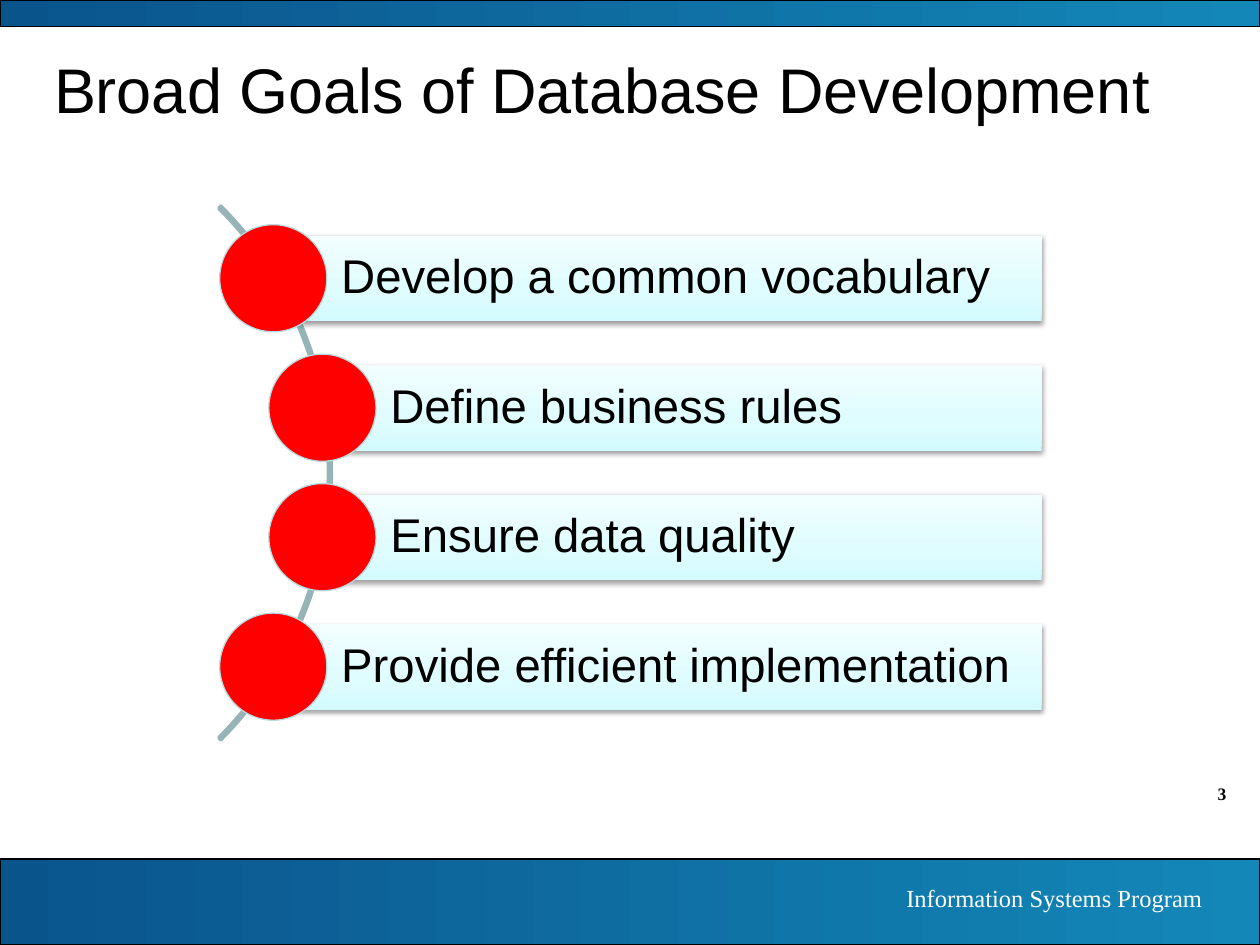
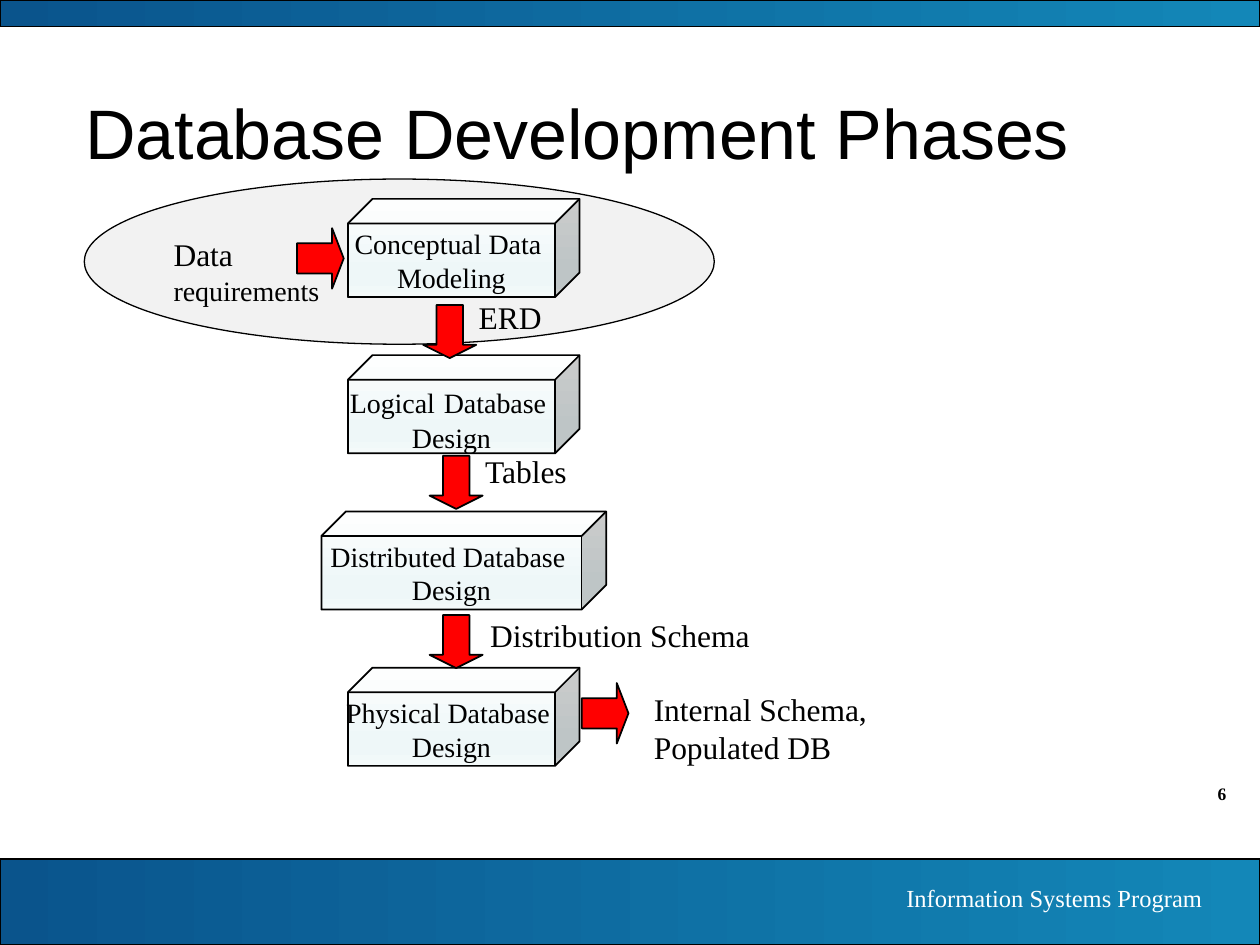
from lxml.etree import SubElement
from pptx import Presentation
from pptx.dml.color import RGBColor
from pptx.enum.shapes import MSO_SHAPE
from pptx.enum.text import MSO_ANCHOR, MSO_AUTO_SIZE, PP_ALIGN
from pptx.oxml.ns import qn
from pptx.util import Cm, Pt

WIDTH, HEIGHT = 25.4, 19.05
BLACK, WHITE, RED = "000000", "FFFFFF", "FF0000"
SANS, SERIF = "Arial", "Times New Roman"
BAND = [(0, "0A548C"), (100, "1387B8")]
BAR = [(0, "D3FBFF"), (35, "DFFCFF"), (100, "F2FEFF")]
CUBE = [(0, "FDFEFE"), (74, "EEF7F8"), (83, "EEF7F8"), (100, "F4FAFA")]


def rgb(value):
    return RGBColor.from_string(value)


class Deck:
    def __init__(self):
        self.prs = Presentation()
        self.prs.slide_width, self.prs.slide_height = Cm(WIDTH), Cm(HEIGHT)
        self.s = None

    def slide(self, title, number, box, size):
        self.s = self.prs.slides.add_slide(self.prs.slide_layouts[6])
        self.text((22.86, 15.67, 2.11, 0.69), [number], 10, align=PP_ALIGN.RIGHT, bold=True)
        for top, height in ((17.32, 1.73), (0, 0.53)):
            band = self.shape(MSO_SHAPE.RECTANGLE, (0, top, WIDTH, height), line=BLACK)
            self.gradient(band, BAND, 0)
        self.text((14.1, 17.68, 10.39, 0.86), ["Information Systems Program"], 14,
                  color=WHITE, align=PP_ALIGN.RIGHT)
        tf = self.text(box, [title], size, font=SANS)
        tf.auto_size = MSO_AUTO_SIZE.NONE
        tf.vertical_anchor = MSO_ANCHOR.MIDDLE

    def fill_text(self, tf, lines, size, font=SERIF, color=BLACK, align=PP_ALIGN.LEFT,
                  bold=False):
        for i, line in enumerate(lines):
            p = tf.add_paragraph() if i else tf.paragraphs[0]
            p.alignment = align
            runs = [(line, size)] if isinstance(line, str) else line
            for content, run_size in runs:
                r = p.add_run()
                r.text = content
                r.font.name, r.font.size, r.font.bold = font, Pt(run_size), bold
                r.font.color.rgb = rgb(color)

    def text(self, box, lines, size, **style):
        tf = self.s.shapes.add_textbox(*map(Cm, box)).text_frame
        tf.word_wrap = True
        tf.auto_size = MSO_AUTO_SIZE.SHAPE_TO_FIT_TEXT
        self.fill_text(tf, lines, size, **style)
        return tf

    def shape(self, kind, box, fill=None, line=None, width=0.75):
        sp = self.s.shapes.add_shape(kind, *map(Cm, box))
        sp.shadow.inherit = False
        if fill:
            sp.fill.solid()
            sp.fill.fore_color.rgb = rgb(fill)
        else:
            sp.fill.background()
        if line:
            sp.line.color.rgb = rgb(line)
            sp.line.width = Pt(width)
        else:
            sp.line.fill.background()
        return sp

    def gradient(self, sp, stops, angle):
        sp.fill.gradient()
        sp.fill.gradient_angle = angle
        stop_list = sp.element.spPr.find(qn("a:gradFill")).find(qn("a:gsLst"))
        for stop in list(stop_list):
            stop_list.remove(stop)
        for position, color in stops:
            stop = SubElement(stop_list, qn("a:gs"), pos=str(position * 1000))
            SubElement(stop, qn("a:srgbClr"), val=color)

    def drop_shadow(self, sp):
        effects = sp.element.spPr.find(qn("a:effectLst"))
        shadow = SubElement(effects, qn("a:outerShdw"), blurRad=str(Pt(3.1)),
                            dist=str(Pt(1.6)), dir="5400000", rotWithShape="0")
        color = SubElement(shadow, qn("a:srgbClr"), val=BLACK)
        SubElement(color, qn("a:alpha"), val="38000")

    def arc(self, box, start, end, thickness, color):
        sp = self.shape(MSO_SHAPE.BLOCK_ARC, box, line=color, width=2)
        sp.adjustments[0] = start * 0.6
        sp.adjustments[1] = end * 0.6
        sp.adjustments[2] = thickness / box[2]

    def goal(self, left, top, label):
        bar = self.shape(MSO_SHAPE.RECTANGLE, (left, top, 21 - left, 1.73))
        self.gradient(bar, BAR, 90)
        self.drop_shadow(bar)
        tf = bar.text_frame
        tf.word_wrap = True
        tf.vertical_anchor = MSO_ANCHOR.MIDDLE
        tf.margin_left = Cm(1.37)
        tf.margin_top = tf.margin_right = tf.margin_bottom = Cm(0.18)
        self.fill_text(tf, [label], 27, font=SANS)
        tf.paragraphs[0].line_spacing = 0.9
        self.shape(MSO_SHAPE.OVAL, (left - 1.08, top - 0.22, 2.16, 2.16), RED, "B6DCDF")

    def phase(self, center, top, width, lines):
        cube = self.shape(MSO_SHAPE.CUBE, (center - width / 2, top, width, 1.98),
                          line=BLACK, width=1)
        cube.adjustments[0] = 0.25
        self.gradient(cube, CUBE, 270)
        tf = cube.text_frame
        tf.word_wrap = False
        tf.vertical_anchor = MSO_ANCHOR.MIDDLE
        self.fill_text(tf, lines, 16, align=PP_ALIGN.CENTER)

    def arrow(self, box, rotation=0):
        sp = self.shape(MSO_SHAPE.RIGHT_ARROW, box, RED, BLACK, 1)
        sp.adjustments[0], sp.adjustments[1] = 0.5, 0.25
        sp.rotation = rotation


def goals_slide(deck):
    deck.slide("Broad Goals of Database Development", "3", (0.84, 0.84, 23.29, 1.9), 36)
    deck.arc((-8.53, 1.93, 15.21, 15.21), 315, 45, 0.06, "96B3B6")
    goals = [(5.51, "Develop a common vocabulary"), (6.5, "Define business rules"),
             (6.5, "Ensure data quality"), (5.51, "Provide efficient implementation")]
    for i, (left, label) in enumerate(goals):
        deck.goal(left, 4.75 + 2.61 * i, label)


def phases_slide(deck):
    deck.slide("Database Development Phases", "6", (1.47, 1.07, 22.45, 3.17), 40)
    deck.shape(MSO_SHAPE.OVAL, (1.7, 3.61, 12.7, 3.33), "F2F2F2", BLACK)
    phases = [(4.67, ["Conceptual Data ", "Modeling"]),
              (4.67, [[("Logical", 16), (" ", 20), ("Database ", 16)], "Design"]),
              (5.74, ["Distributed Database ", "Design"]),
              (4.67, ["Physical Database ", "Design"])]
    for i, (width, lines) in enumerate(phases):
        deck.phase(9.35, 4.01 + 3.15 * i, width, lines)
    for left, top in ((8.53, 6.15), (8.66, 9.19), (8.66, 12.4)):
        deck.arrow((left, top, 1.07, 1.07), 90)
    outputs = [((9.4, 5.89, 1.85, 1.02), "ERD"),
               ((9.53, 8.99, 3.12, 1.02), "Tables"),
               ((9.63, 12.29, 6.3, 1.02), "Distribution Schema"),
               ((12.93, 13.79, 4.85, 1.8), "Internal Schema, Populated DB")]
    for box, label in outputs:
        deck.text(box, [label], 18)
    for left, top in ((11.73, 13.77), (5.99, 4.6)):
        deck.arrow((left, top, 0.94, 1.22))
    deck.text((3.25, 4.62, 4.01, 1.7), [[("Data ", 18), ("requirements", 16)]], 18)


def main():
    deck = Deck()
    goals_slide(deck)
    phases_slide(deck)
    deck.prs.save("out.pptx")


if __name__ == "__main__":
    main()
